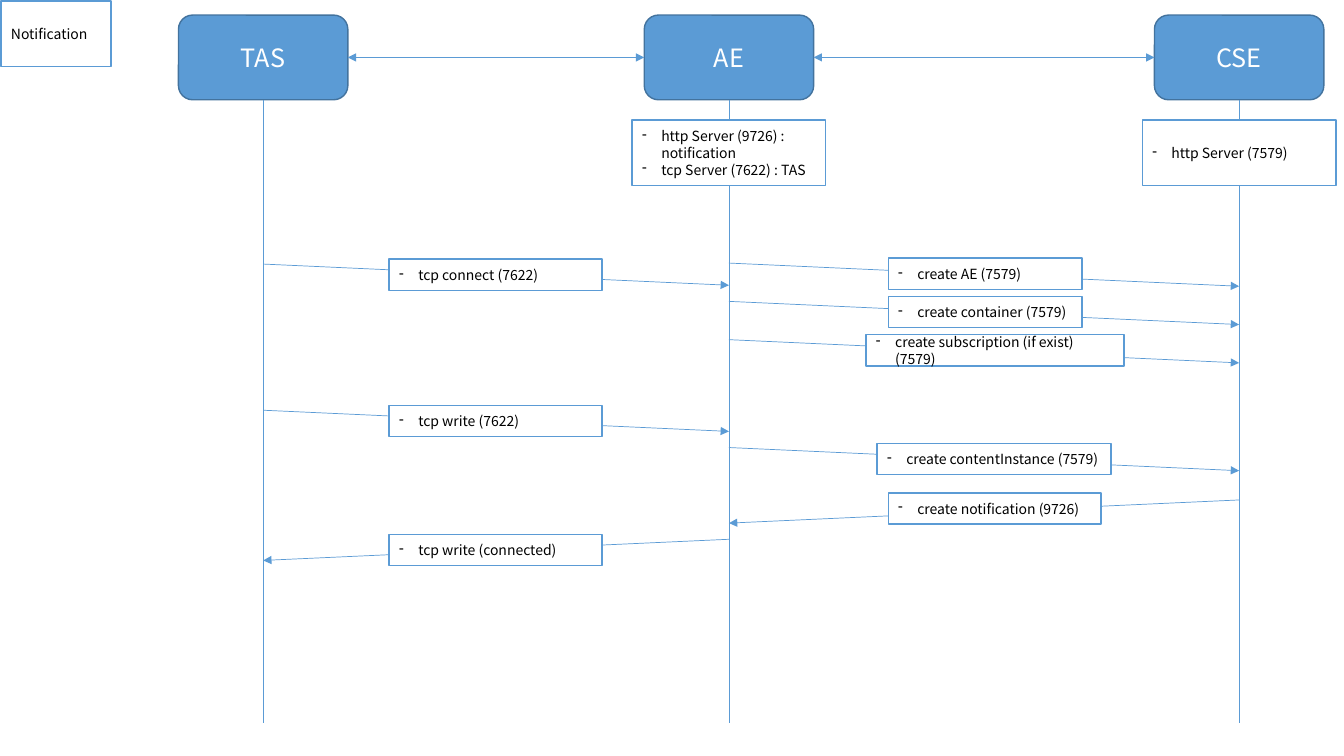
"""Build a sequence diagram of the messages between TAS, AE and CSE."""
from lxml import etree
from pptx import Presentation
from pptx.dml.color import RGBColor
from pptx.enum.shapes import MSO_CONNECTOR, MSO_SHAPE
from pptx.enum.text import MSO_ANCHOR, PP_ALIGN
from pptx.oxml.ns import qn
from pptx.util import Inches, Pt

RECT, ROUNDED = MSO_SHAPE.RECTANGLE, MSO_SHAPE.ROUNDED_RECTANGLE
STRAIGHT = MSO_CONNECTOR.STRAIGHT
MIDDLE = MSO_ANCHOR.MIDDLE
LEFT, CENTER = PP_ALIGN.LEFT, PP_ALIGN.CENTER

BLUE = RGBColor(0x5B, 0x9B, 0xD5)
DARK_BLUE = RGBColor(0x43, 0x73, 0x9E)
WHITE = RGBColor(0xFF, 0xFF, 0xFF)
BLACK = RGBColor(0, 0, 0)
FONT = "Noto Sans CJK KR"

LIFELINES = {"TAS": 2.61, "AE": 7.23, "CSE": 12.29}
LINKS = [("TAS", "AE"), ("AE", "CSE")]
SERVERS = {
    "AE": ["http Server (9726) : notification", "tcp Server (7622) : TAS"],
    "CSE": ["http Server (7579)"],
}
MESSAGES = [
    ("AE", "CSE", 2.61, "create AE (7579)", 8.81, 2.56, 1.92),
    ("AE", "CSE", 2.99, "create container (7579)", 8.81, 2.94, 1.92),
    ("AE", "CSE", 3.37, "create subscription (if exist) (7579)", 8.59, 3.32, 2.56),
    ("TAS", "AE", 2.62, "tcp connect (7622)", 3.86, 2.57, 2.11),
    ("TAS", "AE", 4.07, "tcp write (7622)", 3.86, 4.02, 2.11),
    ("AE", "CSE", 4.44, "create contentInstance (7579)", 8.7, 4.4, 2.32),
    ("AE", "TAS", 5.35, "tcp write (connected)", 3.86, 5.3, 2.11),
    ("CSE", "AE", 4.96, "create notification (9726)", 8.81, 4.89, 2.11),
]

HEAD_TOP, HEAD_WIDTH, HEAD_HEIGHT = 0.15, 1.68, 0.84
HEAD_BOTTOM, LIFELINE_END = HEAD_TOP + HEAD_HEIGHT, 7.17
SERVER_TOP, SERVER_WIDTH, SERVER_HEIGHT = 1.19, 1.92, 0.65
LABEL_HEIGHT, INDENT = 0.31, 0.19
DROPS = {frozenset(("TAS", "AE")): 0.21, frozenset(("AE", "CSE")): 0.23}

deck = Presentation()
deck.slide_width, deck.slide_height = Inches(13.33), Inches(7.5)
slide = deck.slides.add_slide(deck.slide_layouts[6])


def add_box(lines, left, top, width, height, *, form=RECT, fill=WHITE, outline=BLUE,
            color=BLACK, size=10, align=LEFT, dashed=True):
    box = slide.shapes.add_shape(form, *map(Inches, (left, top, width, height)))
    box.shadow.inherit = False
    box.fill.solid()
    box.fill.fore_color.rgb = fill
    box.line.color.rgb = outline
    box.line.width = Pt(1)
    frame = box.text_frame
    frame.word_wrap = True
    frame.vertical_anchor = MIDDLE
    frame.text = "\n".join(lines)
    for paragraph in frame.paragraphs:
        paragraph.alignment = align
        font = paragraph.runs[0].font
        font.name, font.size, font.color.rgb = FONT, Pt(size), color
        if dashed:
            properties = paragraph._p.get_or_add_pPr()
            properties.set("marL", str(Inches(INDENT)))
            properties.set("indent", str(-Inches(INDENT)))
            etree.SubElement(properties, qn("a:buChar"), char="-")


def add_line(x1, y1, x2, y2, *ends):
    line = slide.shapes.add_connector(STRAIGHT, *map(Inches, (x1, y1, x2, y2)))
    line.line.color.rgb = BLUE
    line.line.width = Pt(0.5)
    for end in ends:
        etree.SubElement(line.line._get_or_add_ln(), qn(f"a:{end}"), type="triangle")
    etree.SubElement(line._element.spPr, qn("a:effectLst"))


for role, x in LIFELINES.items():
    add_box([role], x - HEAD_WIDTH / 2, HEAD_TOP, HEAD_WIDTH, HEAD_HEIGHT, form=ROUNDED,
            fill=BLUE, outline=DARK_BLUE, color=WHITE, size=18, align=CENTER, dashed=False)
    add_line(x, HEAD_BOTTOM, x, LIFELINE_END)

for first, second in LINKS:
    middle = HEAD_TOP + HEAD_HEIGHT / 2
    add_line(LIFELINES[first] + HEAD_WIDTH / 2, middle,
             LIFELINES[second] - HEAD_WIDTH / 2, middle, "headEnd", "tailEnd")

for role, ports in SERVERS.items():
    add_box(ports, LIFELINES[role] - SERVER_WIDTH / 2, SERVER_TOP, SERVER_WIDTH, SERVER_HEIGHT)

for sender, receiver, start, label, left, top, width in MESSAGES:
    drop = DROPS[frozenset((sender, receiver))]
    add_line(LIFELINES[sender], start, LIFELINES[receiver], start + drop, "tailEnd")
    add_box([label], left, top, width, LABEL_HEIGHT)

add_box(["Notification"], 0.01, 0.01, 1.09, 0.65, dashed=False)

deck.save("out.pptx")
